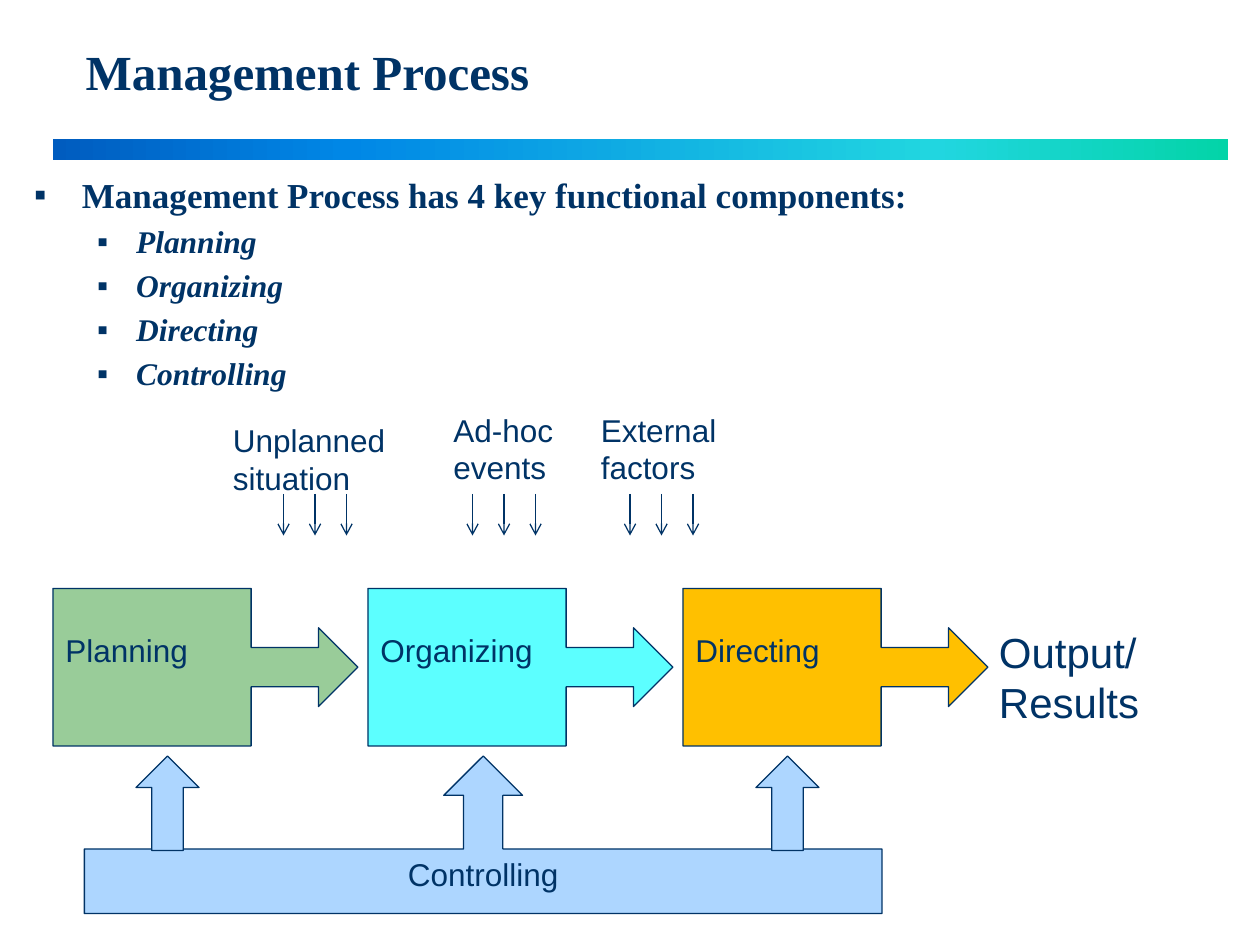
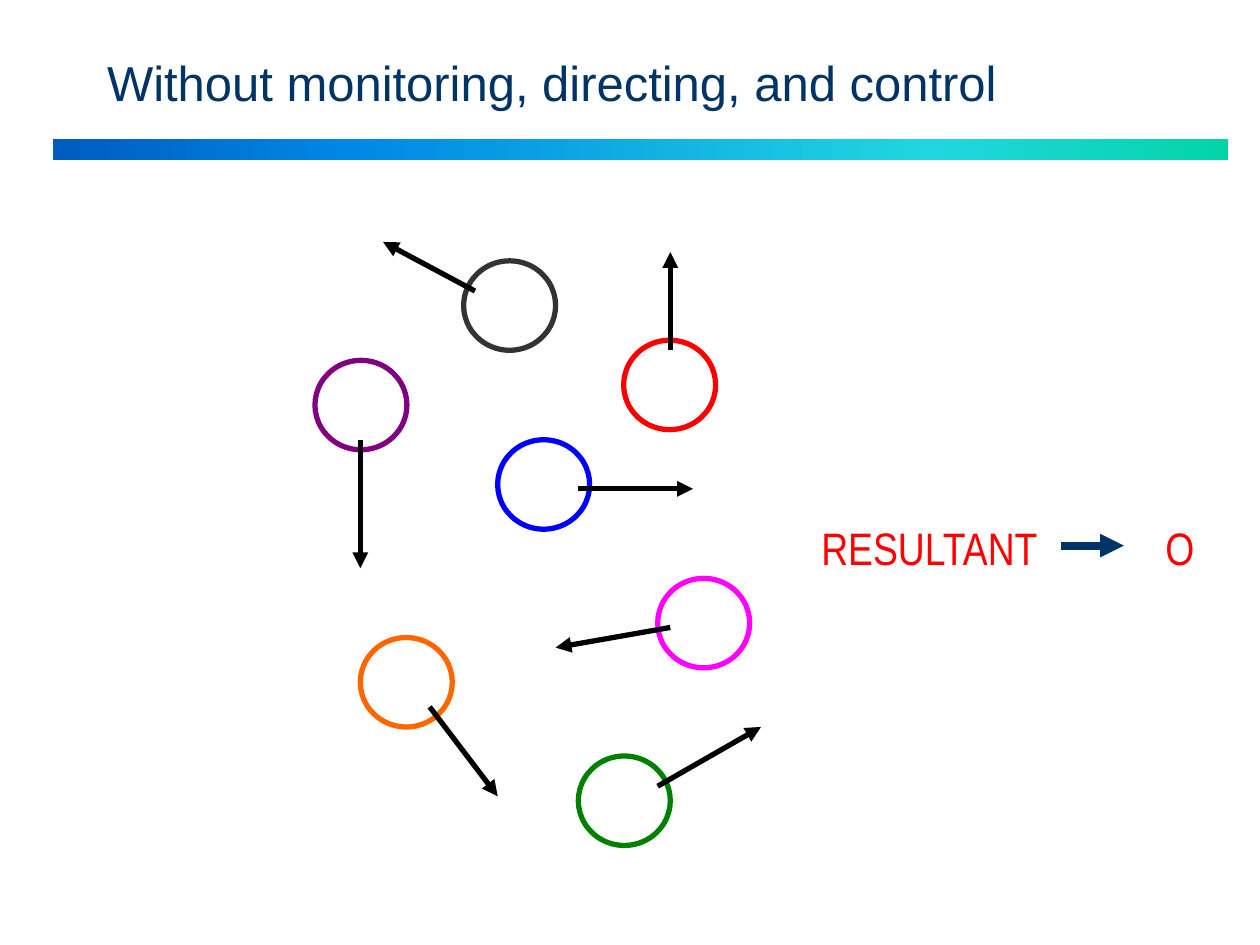
"""Build two slides on the management process."""
import pptx
import pptx.dml.color
import pptx.enum.dml
import pptx.enum.shapes
import pptx.enum.text
import pptx.oxml
import pptx.oxml.ns
import pptx.util
from lxml import etree

Inches = pptx.util.Inches
Pt = pptx.util.Pt
Kind = pptx.enum.shapes.MSO_SHAPE
Align = pptx.enum.text.PP_ALIGN
qn = pptx.oxml.ns.qn


def color(code):
    return pptx.dml.color.RGBColor.from_string(code)


class Deck:
    navy, sky, black, white = "003366", "ADD6FF", "000000", "FFFFFF"
    sans, serif, narrow = "Arial", "Times New Roman", "Arial Narrow"
    band = [(0, "005CBF"), (25, "0087E6"), (75, "21D6E0"), (100, "03D4A8")]

    def __init__(self):
        self.file = pptx.Presentation()
        self.file.slide_width = Inches(10)
        self.file.slide_height = Inches(7.5)

    def page(self, layout, title, box, font, bold=False, lead=1.0):
        self.slide = self.file.slides.add_slide(self.file.slide_layouts[layout])
        bar = self.shape(Kind.RECTANGLE, (0.42, 1.1, 9.33, 0.17), None, None)
        bar.fill.gradient()
        bar.fill.gradient_angle = 0
        stops = bar._element.spPr.find(qn("a:gradFill")).find(qn("a:gsLst"))
        for old in list(stops):
            stops.remove(old)
        for place, code in self.band:
            stop = etree.SubElement(stops, qn("a:gs"), pos=str(place * 1000))
            etree.SubElement(stop, qn("a:srgbClr"), val=code)
        frame = self.place(self.slide.shapes.title, box)
        para = frame.paragraphs[0]
        para.alignment = Align.LEFT
        para.line_spacing = lead
        self.run(para, title, 28, font=font, bold=bold)

    def place(self, holder, box):
        holder.left, holder.top, holder.width, holder.height = map(Inches, box)
        return self.frame(holder)

    def frame(self, shape):
        frame = shape.text_frame
        frame.word_wrap = True
        frame.auto_size = pptx.enum.text.MSO_AUTO_SIZE.NONE
        frame.vertical_anchor = pptx.enum.text.MSO_ANCHOR.TOP
        return frame

    def run(self, para, text, size, code=navy, font=sans, bold=False, slant=False):
        run = para.add_run()
        run.text = text
        run.font.size = Pt(size)
        run.font.name = font
        run.font.bold = bold
        run.font.italic = slant
        run.font.color.rgb = color(code)

    def list(self, items, box):
        frame = self.place(self.slide.placeholders[1], box)
        for spot, (level, text) in enumerate(items):
            para = frame.paragraphs[0] if spot == 0 else frame.add_paragraph()
            para.level = level
            left, hang, size = [(0.38, 0.38, 20), (0.81, 0.31, 18)][level]
            props = para._p.get_or_add_pPr()
            props.set("marL", str(Inches(left)))
            props.set("indent", str(-Inches(hang)))
            tint = etree.SubElement(props, qn("a:buClr"))
            etree.SubElement(tint, qn("a:srgbClr"), val=self.navy)
            etree.SubElement(props, qn("a:buFont"), typeface=self.sans)
            etree.SubElement(props, qn("a:buChar"), char="▪")
            self.run(para, text, size, font=self.serif, bold=True, slant=level > 0)

    def text(self, lines, box, size=18, code=navy, font=sans, tab=None):
        frame = self.frame(self.slide.shapes.add_textbox(*map(Inches, box)))
        for spot, line in enumerate(lines):
            para = frame.paragraphs[0] if spot == 0 else frame.add_paragraph()
            if tab:
                tabs = etree.SubElement(para._p.get_or_add_pPr(), qn("a:tabLst"))
                etree.SubElement(tabs, qn("a:tab"), pos=str(Inches(tab)), algn="l")
            self.run(para, line, size, code, font)

    def shape(self, kind, box, fill, line=navy, weight=0.75, adjust=()):
        shape = self.slide.shapes.add_shape(kind, *map(Inches, box))
        shape.shadow.inherit = False
        if fill:
            shape.fill.solid()
            shape.fill.fore_color.rgb = color(fill)
        if line:
            shape.line.color.rgb = color(line)
            shape.line.width = Pt(weight)
        else:
            shape.line.fill.background()
        for spot, value in enumerate(adjust):
            shape.adjustments[spot] = value
        return shape

    def label(self, shape, text, align=Align.LEFT, top=0.05):
        frame = self.frame(shape)
        frame.margin_top = Inches(top)
        para = frame.paragraphs[0]
        para.alignment = align
        self.run(para, text, 18)

    def arrow(self, start, end, code=navy, weight=0.75, tip="triangle"):
        line = self.slide.shapes.add_connector(
            pptx.enum.shapes.MSO_CONNECTOR.STRAIGHT, *map(Inches, start + end))
        line.line.color.rgb = color(code)
        line.line.width = Pt(weight)
        etree.SubElement(line.line._get_or_add_ln(), qn("a:tailEnd"), type=tip)
        etree.SubElement(line._element.spPr, qn("a:effectLst"))


def process(deck):
    deck.page(1, "Management Process", (0.58, 0.33, 9, 0.83), deck.serif, True, 0.9)
    steps = [("Planning", "99CC99"), ("Organizing", "5CFFFF"), ("Directing", "FFC000")]
    control = "Controlling"
    items = [(0, "Management Process has 4 key functional components:")]
    items += [(1, name) for name, _ in steps] + [(1, control)]
    deck.list(items, (0.17, 1.33, 9.42, 4.95))

    for spot, (name, fill) in enumerate(steps):
        step = deck.shape(Kind.RIGHT_ARROW_CALLOUT, (0.42 + 2.5 * spot, 4.67, 2.42, 1.25),
                          fill, adjust=(0.25, 0.25, 0.25, 0.65))
        deck.label(step, name, top=0.34)
    base = deck.shape(Kind.UP_ARROW_CALLOUT, (0.67, 6, 6.33, 1.25), deck.sky,
                      adjust=(0.25, 0.25, 0.25, 0.41))
    deck.label(base, control, Align.CENTER)
    for left in (1.08, 6):
        deck.shape(Kind.UP_ARROW, (left, 6, 0.5, 0.75), deck.sky)
    deck.text(["Output/", "Results"], (7.83, 4.92, 1.75, 0.91), 24)

    causes = [
        (["Unplanned", "situation"], (1.75, 3.29, 1.83, 0.71), 2.25),
        (["Ad-hoc", "events"], (3.5, 3.21, 1.07, 0.71), 3.75),
        (["External", "factors"], (4.67, 3.21, 1.2, 0.71), 5),
    ]
    for lines, box, first in causes:
        deck.text(lines, box)
        for spot in range(3):
            left = first + 0.25 * spot
            deck.arrow((left, 3.92), (left, 4.25), tip="arrow")


def chaos(deck):
    deck.page(5, "Without monitoring, directing, and control",
              (0.75, 0.37, 8.25, 0.57), deck.sans)
    balls = [
        ("0000FF", (3.95, 3.49), (4.59, 3.88), (5.5, 3.88)),
        ("FF00FF", (5.22, 4.59), (5.32, 4.98), (4.41, 5.14)),
        ("FF6600", (2.86, 5.06), (3.41, 5.61), (3.95, 6.32)),
        ("FF0000", (4.95, 2.7), (5.32, 2.78), (5.32, 2)),
        ("333333", (3.68, 2.07), (3.77, 2.31), (3.04, 1.92)),
        ("008000", (4.59, 6), (5.22, 6.24), (6.04, 5.77)),
        ("800080", (2.5, 2.86), (2.86, 3.49), (2.86, 4.51)),
    ]
    for code, spot, start, end in balls:
        deck.shape(Kind.OVAL, spot + (0.73, 0.71), deck.white, code, 3)
        deck.arrow(start, end, deck.black, 3)
    deck.text(["RESULTANT\tO"], (6.42, 4.08, 3.33, 1.01), 26, "FF0000",
              deck.narrow, tab=2.73)
    deck.arrow((8.42, 4.33), (8.92, 4.33), weight=4.5)


def main():
    deck = Deck()
    process(deck)
    chaos(deck)
    deck.file.save("out.pptx")


if __name__ == "__main__":
    main()
